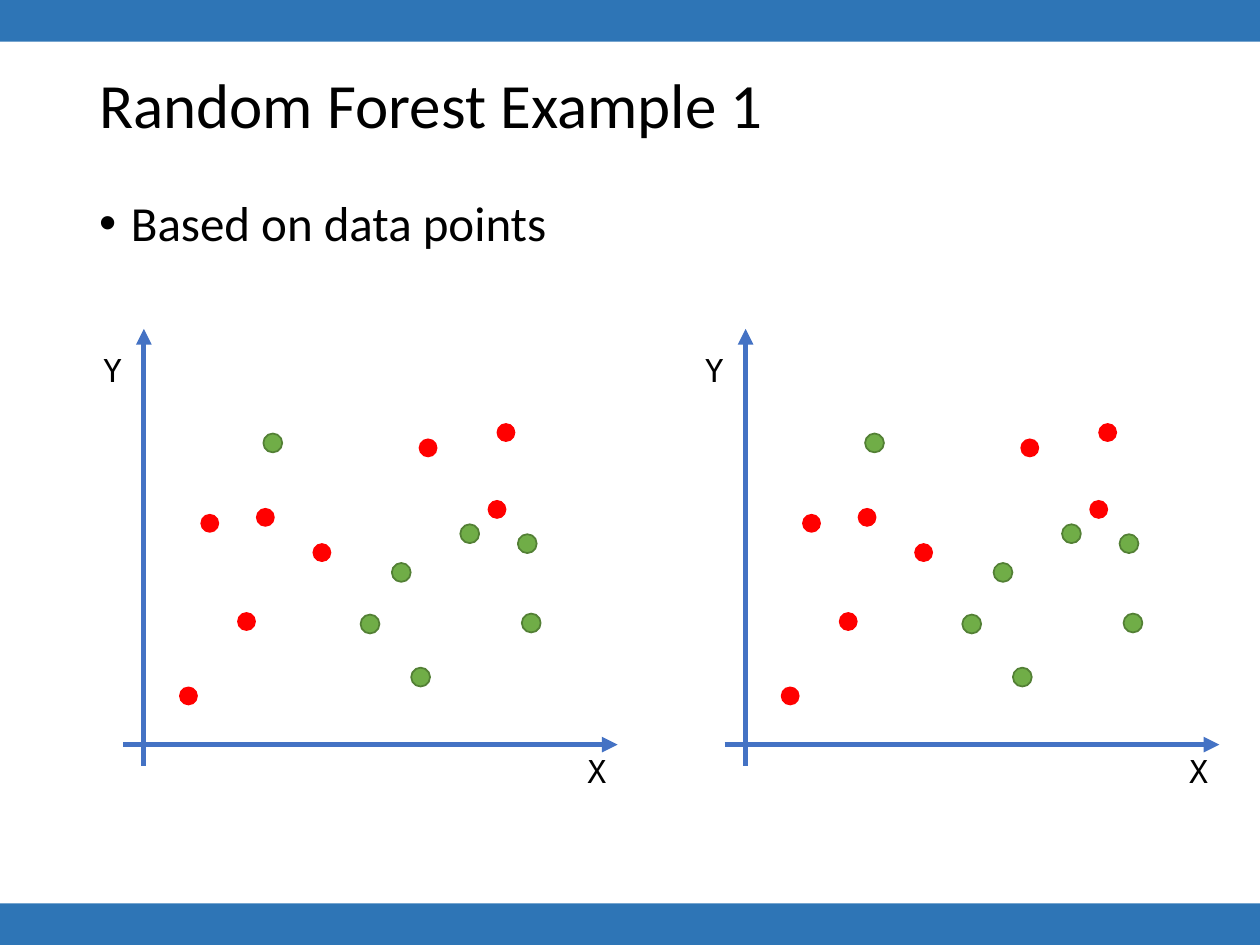
"""Build a slide with two scatter sketches of the random forest example."""
from lxml.etree import SubElement
from pptx import Presentation
from pptx.dml.color import RGBColor
from pptx.enum.shapes import MSO_CONNECTOR, MSO_SHAPE
from pptx.enum.text import MSO_ANCHOR
from pptx.oxml.ns import qn
from pptx.util import Cm, Pt

COLORS = {
    "band": "2E75B6", "axis": "4472C4", "text": "000000",
    "red": "FF0000", "green": "70AD47", "green_edge": "538035",
}
TITLE = "Random Forest Example 1"
BULLET = "Based on data points"
PAGE_WIDTH, PAGE_HEIGHT, BAND_HEIGHT = 25.4, 19.05, 0.84

ORIGINS = [(15.03, 15.01), (2.9, 15.01)]
AXES = [((-0.42, 0), (9.55, 0)), ((0, -0.43), (0, 8.38))]
AXIS_LABELS = [("X", 8.69, -0.03), ("Y", -1.07, 8.05)]
DOT_SIZE = 0.38
DOT_GROUPS = [
    ("red", None, [
        (0.9, 0.98), (3.59, 3.87), (1.33, 4.46), (2.45, 4.58),
        (7.3, 6.29), (2.07, 2.48), (7.12, 4.74), (5.73, 5.98),
    ]),
    ("green", "green_edge", [
        (2.6, 6.08), (4.56, 2.43), (6.57, 4.25), (7.73, 4.05),
        (5.19, 3.47), (5.58, 1.36), (7.81, 2.45),
    ]),
]


def color(name):
    """Return the named colour."""
    return RGBColor.from_string(COLORS[name])


def add_filled(page, kind, left, top, width, height, fill, edge=None):
    """Add a flat preset shape with an optional outline."""
    shape = page.shapes.add_shape(kind, Cm(left), Cm(top), Cm(width), Cm(height))
    shape.shadow.inherit = False
    shape.fill.solid()
    shape.fill.fore_color.rgb = color(fill)
    if edge:
        shape.line.color.rgb = color(edge)
        shape.line.width = Pt(1)
    else:
        shape.line.fill.background()


def add_text(page, text, left, top, width, height, size, font="Calibri", wrap=True):
    """Add a text box with one formatted paragraph and return its frame."""
    box = page.shapes.add_textbox(Cm(left), Cm(top), Cm(width), Cm(height))
    frame = box.text_frame
    frame.word_wrap = wrap
    frame.text = text
    span = frame.paragraphs[0].runs[0]
    span.font.name = font
    span.font.size = Pt(size)
    span.font.color.rgb = color("text")
    return frame


def add_axis(page, start, end):
    """Add an axis arrow between two points."""
    line = page.shapes.add_connector(
        MSO_CONNECTOR.STRAIGHT, *(Cm(value) for value in start + end))
    line.line.color.rgb = color("axis")
    line.line.width = Pt(3)
    SubElement(line.line._get_or_add_ln(), qn("a:tailEnd"), type="triangle")
    SubElement(line._element.spPr, qn("a:effectLst"))


def add_plot(page, origin_x, origin_y):
    """Add the axes, dots and labels, measured right and up from the origin."""
    def place(x, y):
        return origin_x + x, origin_y - y

    for start, end in AXES:
        add_axis(page, place(*start), place(*end))
    for fill, edge, dots in DOT_GROUPS:
        for dot in dots:
            x, y = place(*dot)
            add_filled(page, MSO_SHAPE.OVAL, x - DOT_SIZE / 2, y - DOT_SIZE / 2,
                       DOT_SIZE, DOT_SIZE, fill, edge)
    for label, x, y in AXIS_LABELS:
        add_text(page, label, *place(x, y), 0.86, 1.02, 18, "DejaVu Sans Mono", False)


def main():
    """Build and save the deck."""
    deck = Presentation()
    deck.slide_width, deck.slide_height = Cm(PAGE_WIDTH), Cm(PAGE_HEIGHT)
    page = deck.slides.add_slide(deck.slide_layouts[6])

    for top in (0, PAGE_HEIGHT - BAND_HEIGHT):
        add_filled(page, MSO_SHAPE.RECTANGLE, 0, top, PAGE_WIDTH, BAND_HEIGHT, "band")

    title = add_text(page, TITLE, 1.75, 1.02, 21.9, 2.31, 36)
    title.vertical_anchor = MSO_ANCHOR.MIDDLE
    title.paragraphs[0].line_spacing = 0.9

    paragraph = add_text(page, BULLET, 1.75, 3.89, 9.68, 7.04, 28).paragraphs[0]
    paragraph.line_spacing = 0.9
    paragraph.space_before = Pt(10)
    properties = paragraph._p.get_or_add_pPr()
    properties.set("marL", str(Cm(0.64)))
    properties.set("indent", str(Cm(-0.64)))
    SubElement(properties, qn("a:buFont"), typeface="Arial")
    SubElement(properties, qn("a:buChar"), char="•")

    for origin in ORIGINS:
        add_plot(page, *origin)
    deck.save("out.pptx")


if __name__ == "__main__":
    main()
